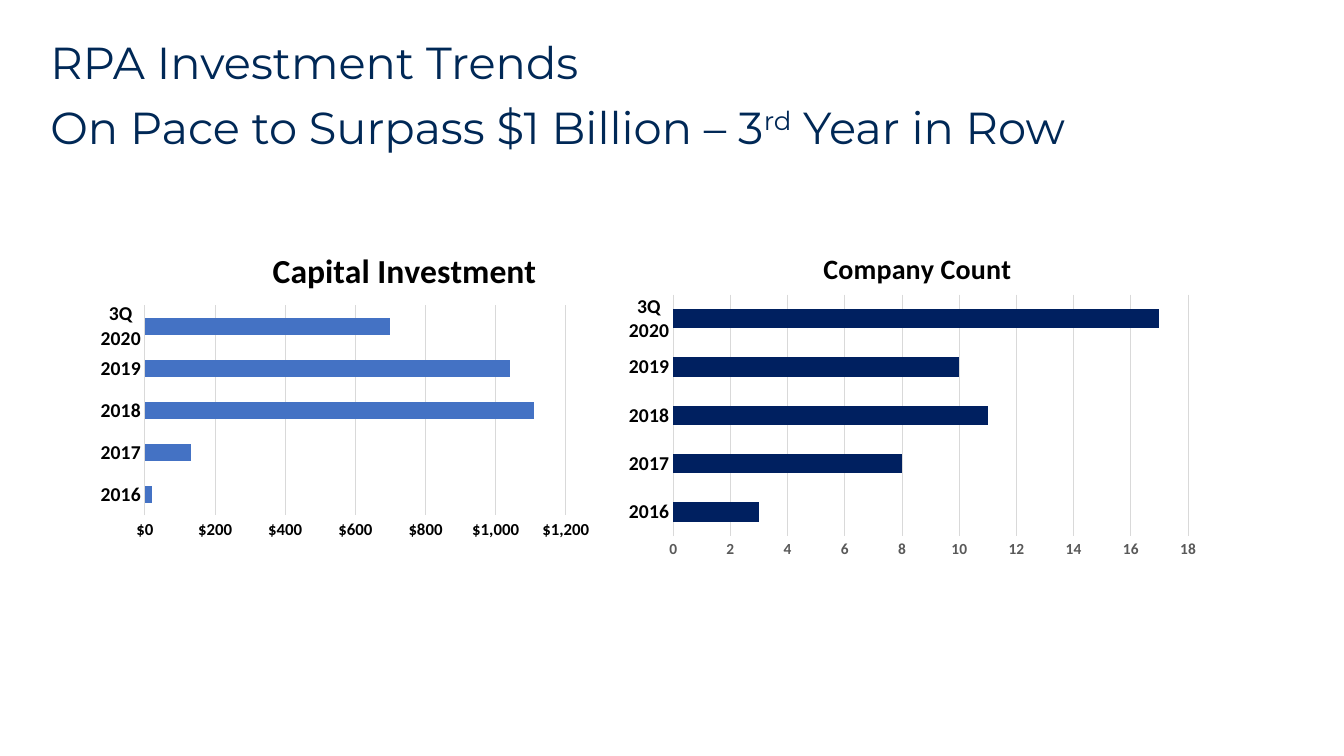
from lxml import etree
from pptx import Presentation
from pptx.chart.data import CategoryChartData
from pptx.dml.color import RGBColor
from pptx.enum.chart import XL_CHART_TYPE, XL_TICK_MARK
from pptx.oxml.ns import qn
from pptx.util import Emu, Pt

PX = 9144  # 100 px to the inch
CLUSTERED = XL_CHART_TYPE.BAR_CLUSTERED
STACKED = XL_CHART_TYPE.BAR_STACKED
NO_TICK = XL_TICK_MARK.NONE
YEARS = ["2016", "2017", "2018", "2019", "3Q 2020"]
BLACK, GRID = "000000", "D9D9D9"


def px(n):
    return Emu(n * PX)


def rgb(value):
    return RGBColor.from_string(value)


def style_font(font, name, size, color, bold=False):
    font.name, font.size, font.bold = name, Pt(size), bold
    font.color.rgb = rgb(color)


def style_line(line, color):
    line.color.rgb = rgb(color)
    line.width = Pt(0.75)


def set_layout(element, inner=False, **fractions):
    """Place a chart title or plot area by fractions of the chart frame."""
    for old in element.findall(qn("c:layout")):
        element.remove(old)
    layout = etree.Element(qn("c:layout"))
    manual = etree.SubElement(layout, qn("c:manualLayout"))
    settings = [("layoutTarget", "inner")] if inner else []
    settings += [("xMode", "edge"), ("yMode", "edge"), *fractions.items()]
    for tag, value in settings:
        etree.SubElement(manual, qn(f"c:{tag}")).set("val", str(value))
    tx = element.find(qn("c:tx"))
    if tx is None:
        element.insert(0, layout)
    else:
        tx.addnext(layout)


def add_heading(slide):
    tf = slide.shapes.add_textbox(px(50), px(40), px(1233), px(48)).text_frame
    tf.word_wrap = True
    tf.margin_left = tf.margin_top = tf.margin_right = tf.margin_bottom = 0
    first, second = tf.paragraphs[0], tf.add_paragraph()
    first.text = "RPA Investment Trends"
    for text in ("On Pace to Surpass $1 Billion – 3", "rd", " Year in Row"):
        r = second.add_run()
        r.text = text
        if text == "rd":
            r.font._element.set("baseline", "30000")
    second.space_before = Pt(12)
    for p in (first, second):
        p.line_spacing = 0.9
        style_font(p.font, "Montserrat", 32, "002856")


def add_bar_chart(slide, kind, frame, title, title_size, title_at, plot_at,
                  values, color, axis_size, axis_color, top, step, fmt):
    data = CategoryChartData()
    data.categories = YEARS
    data.add_series("Series 1", values)
    chart = slide.shapes.add_chart(kind, *map(px, frame), data).chart
    style_font(chart.font, "Calibri", 10, BLACK)
    chart.has_legend = False

    tf = chart.chart_title.text_frame
    tf.text = title
    style_font(tf.paragraphs[0].font, "Calibri", title_size, BLACK, True)
    set_layout(chart.chart_title._element, **title_at)

    plot = chart.plots[0]
    plot.gap_width = 150
    plot.vary_by_categories = False
    if kind == STACKED:
        plot.overlap = 100
    fill = plot.series[0].format.fill
    fill.solid()
    fill.fore_color.rgb = rgb(color)
    set_layout(chart._chartSpace.chart.plotArea, inner=True, **plot_at)

    years, amounts = chart.category_axis, chart.value_axis
    for axis in (years, amounts):
        axis.major_tick_mark = axis.minor_tick_mark = NO_TICK
    style_font(years.tick_labels.font, "Calibri", 14, BLACK, True)
    style_line(years.format.line, GRID)
    style_font(amounts.tick_labels.font, "Calibri", axis_size, axis_color, True)
    amounts.format.line.fill.background()
    style_line(amounts.major_gridlines.format.line, GRID)
    amounts.minimum_scale, amounts.maximum_scale = 0, top
    amounts.major_unit = step
    amounts.tick_labels.number_format = fmt
    amounts.tick_labels.number_format_is_linked = False


def main():
    prs = Presentation()
    prs.slide_width, prs.slide_height = px(1333), px(750)
    slide = prs.slides.add_slide(prs.slide_layouts[6])
    add_heading(slide)
    add_bar_chart(slide, CLUSTERED, (612, 221, 587, 340),
                  "Company Count", 20, dict(x=0.34, y=0.06),
                  dict(x=0.095, y=0.21, w=0.87, h=0.705),
                  [3, 8, 11, 10, 17], "002060", 11, "595959", 18, 2, "General")
    add_bar_chart(slide, STACKED, (91, 221, 503, 321),
                  "Capital Investment", 24, dict(x=0.345, y=0.06),
                  dict(x=0.105, y=0.255, w=0.83, h=0.65),
                  [20, 130, 1110, 1040, 700], "4472C4", 12, BLACK, 1200, 200,
                  '"$"#,##0')
    prs.save("out.pptx")


if __name__ == "__main__":
    main()
